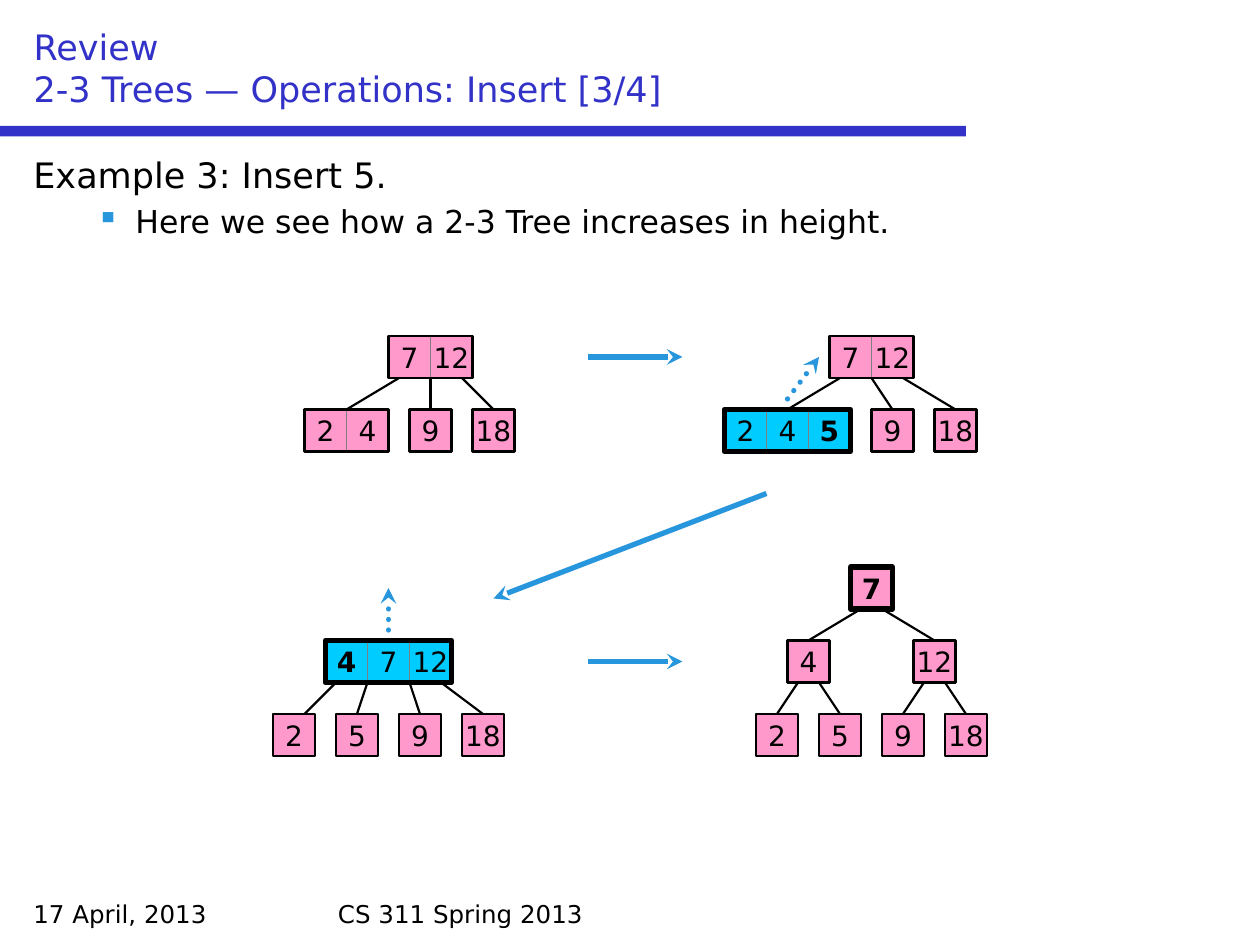
from lxml.etree import SubElement
from pptx import Presentation
from pptx.dml.color import RGBColor
from pptx.enum.dml import MSO_LINE as Dash
from pptx.enum.shapes import MSO_CONNECTOR as Link, MSO_SHAPE as Shape
from pptx.enum.text import MSO_ANCHOR as Anchor, MSO_AUTO_SIZE as Fit, PP_ALIGN as Align
from pptx.oxml.ns import qn
from pptx.util import Inches, Pt

BLACK, NAVY, BLUE, GREY = "000000", "3232C8", "2896DC", "808080"
PINK, CYAN = "FF99CC", "00CCFF"
THIN, EDGE, THICK = 0.75, 1.25, 3
CELL = 4


def color(code):
    return RGBColor.from_string(code)


def grid(*units):
    return [Inches(unit / 12) for unit in units]


def apply(target, **values):
    for name, value in values.items():
        setattr(target, name, value)


class Page:
    def __init__(self, deck, face):
        self.face = face
        self.slide = deck.slides.add_slide(deck.slide_layouts[5])
        self.shapes = self.slide.shapes

    def style(self, para, size, tone=BLACK, bold=False):
        for run in para.runs:
            apply(run.font, name=self.face, size=Pt(size), bold=bold)
            run.font.color.rgb = color(tone)
        for gap in para._p.findall(qn("a:br")):
            SubElement(gap, qn("a:rPr"), sz=str(size * 100))

    def title(self, text, box):
        head = self.shapes.title
        apply(head, **dict(zip(("left", "top", "width", "height"), grid(*box))))
        frame = head.text_frame
        apply(frame, text=text, vertical_anchor=Anchor.BOTTOM,
              word_wrap=True, auto_size=Fit.NONE)
        para = frame.paragraphs[0]
        para.alignment = Align.LEFT
        self.style(para, 20, NAVY)

    def text(self, text, box, size):
        frame = self.shapes.add_textbox(*grid(*box)).text_frame
        apply(frame, text=text, word_wrap=True)
        self.style(frame.paragraphs[0], size)
        return frame

    def bullet(self, frame, text, size):
        para = frame.add_paragraph()
        apply(para, text=text, level=1, space_before=Pt(4))
        props = para._p.get_or_add_pPr()
        props.set("marL", str(Inches(0.81)))
        props.set("indent", str(Inches(-0.31)))
        tint = SubElement(props, qn("a:buClr"))
        SubElement(tint, qn("a:srgbClr"), val=BLUE)
        SubElement(props, qn("a:buChar"), char="▪")
        self.style(para, size)

    def rect(self, box, fill=None, line=None, width=EDGE):
        shape = self.shapes.add_shape(Shape.RECTANGLE, *grid(*box))
        shape.shadow.inherit = False
        if fill:
            shape.fill.solid()
            shape.fill.fore_color.rgb = color(fill)
        else:
            shape.fill.background()
        if line:
            shape.line.color.rgb = color(line)
            shape.line.width = Pt(width)
        else:
            shape.line.fill.background()
        return shape

    def node(self, left, top, keys, bold=None):
        keys = keys.split()
        many = len(keys) > 1
        fill = CYAN if bold and many else PINK
        rim = (BLACK, THICK if bold else EDGE)
        for spot, key in enumerate(keys):
            box = (left + spot * CELL, top, CELL, CELL)
            cell = self.rect(box, fill, *((GREY, THIN) if many else rim))
            frame = cell.text_frame
            apply(frame, text=key, word_wrap=False, vertical_anchor=Anchor.MIDDLE)
            para = frame.paragraphs[0]
            para.alignment = Align.CENTER
            self.style(para, 16, bold=key == bold)
        if many:
            self.rect((left, top, CELL * len(keys), CELL), None, *rim)

    def line(self, ends, tone=BLACK, width=EDGE):
        link = self.shapes.add_connector(Link.STRAIGHT, *grid(*ends))
        link.line.color.rgb = color(tone)
        link.line.width = Pt(width)
        SubElement(link._element.spPr, qn("a:effectLst"))
        return link

    def arrow(self, ends, dots=False):
        line = self.line(ends, BLUE, THICK).line
        pen = line._get_or_add_ln()
        if dots:
            line.dash_style = Dash.ROUND_DOT
            pen.set("cap", "rnd")
        SubElement(pen, qn("a:tailEnd"), type="stealth")

    def tree(self, nodes, edges):
        for top, pairs in edges.items():
            for start, end in pairs:
                self.line((start, top, end, top + 3))
        for node in nodes:
            self.node(*node)


TREES = [
    ([(37, 32, "7 12"), (29, 39, "2 4"), (39, 39, "9"), (45, 39, "18")],
     {36: [(38, 33), (41, 41), (44, 47)]}),
    ([(79, 32, "7 12"), (69, 39, "2 4 5", "5"), (83, 39, "9"), (89, 39, "18")],
     {36: [(80, 75), (83, 85), (86, 91)]}),
    ([(31, 61, "4 7 12", "4")]
     + [(26 + 6 * i, 68, key) for i, key in enumerate(("2", "5", "9", "18"))],
     {65: [(32, 29), (35, 34), (39, 40), (42, 46)]}),
    ([(81, 54, "7", "7"), (75, 61, "4"), (87, 61, "12")]
     + [(72 + 6 * i, 68, key) for i, key in enumerate(("2", "5", "9", "18"))],
     {58: [(82, 77), (84, 89)], 65: [(76, 74), (78, 80), (88, 86), (90, 92)]}),
]
STEPS = [(56, 34, 65, 34), (73, 47, 47, 57), (56, 63, 65, 63)]
LIFTS = [(75, 38, 78, 34), (37, 60, 37, 56)]


def main():
    deck = Presentation()
    apply(deck, slide_width=Inches(10), slide_height=Inches(7.5))
    page = Page(deck, "DejaVu Sans")
    page.rect((0, 12, 92, 1), NAVY)
    page.text("17 April, 2013", (2, 85, 28, 4), 14)
    page.text("CS 311 Spring 2013", (31, 85, 58, 4), 14)
    page.title("Review\v2-3 Trees — Operations: Insert [3/4]", (2, 2, 116, 9))
    body = page.text("Example 3: Insert 5.", (2, 14, 116, 70), 20)
    page.bullet(body, "Here we see how a 2-3 Tree increases in height.", 18)
    for nodes, edges in TREES:
        page.tree(nodes, edges)
    for ends in STEPS:
        page.arrow(ends)
    for ends in LIFTS:
        page.arrow(ends, dots=True)
    deck.save("out.pptx")


if __name__ == "__main__":
    main()
